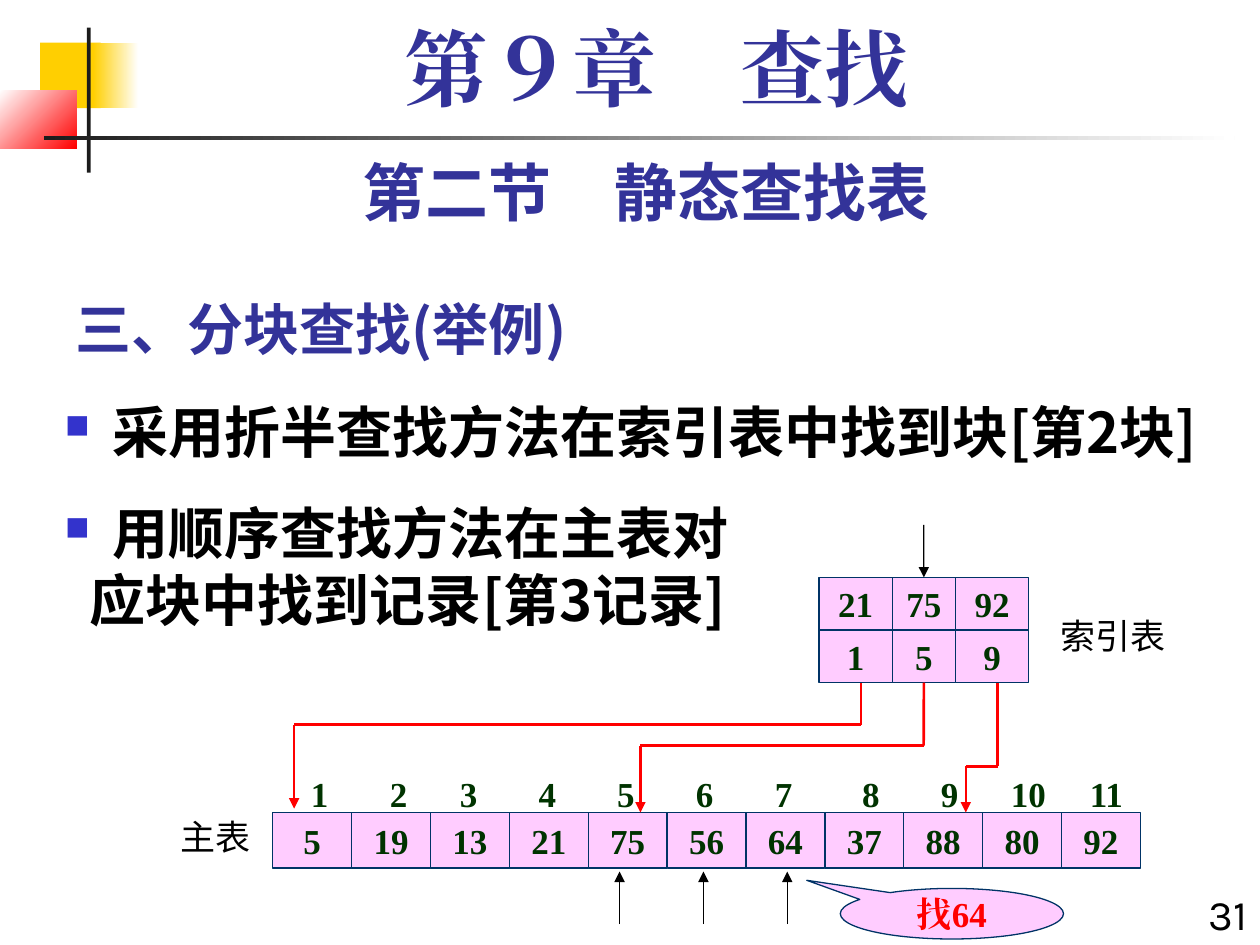
from dataclasses import dataclass
from typing import Optional

from lxml.etree import SubElement
from pptx import Presentation
from pptx.dml.color import RGBColor
from pptx.enum.shapes import MSO_CONNECTOR as Connector, MSO_SHAPE as Preset
from pptx.enum.text import MSO_ANCHOR as Anchor, PP_ALIGN as Align
from pptx.oxml.ns import qn
from pptx.util import Cm, Pt

GOLD = RGBColor(0xFF, 0xCF, 0x01)
RED = RGBColor(0xFF, 0x00, 0x00)
WHITE = RGBColor(0xFF, 0xFF, 0xFF)
BLACK = RGBColor(0x00, 0x00, 0x00)
CHARCOAL = RGBColor(0x1C, 0x1C, 0x1C)
INDIGO = RGBColor(0x33, 0x33, 0x99)
PINK = RGBColor(0xFF, 0xCC, 0xFF)
NAVY = RGBColor(0x00, 0x33, 0x66)
GREEN = RGBColor(0x00, 0x33, 0x00)

SANS, CJK, SERIF = "Karla", "Noto Sans CJK SC", "Times New Roman"
HEADING = dict(name=CJK, size=Pt(32), bold=True)
CELL = dict(name=SERIF, size=Pt(20), bold=True)
LABEL = dict(name=SANS, size=Pt(20))


@dataclass
class Box:
    left: float
    top: float
    width: float
    height: float

    def lengths(self) -> list:
        return [Cm(value) for value in (self.left, self.top, self.width, self.height)]


@dataclass
class Ornament:
    box: Box
    start: RGBColor
    end: Optional[RGBColor] = None
    angle: float = 0


@dataclass
class Label:
    text: str
    box: Box
    font: dict
    color: RGBColor
    align: Align = Align.LEFT
    anchor: Anchor = Anchor.TOP
    side_inset: float = 0.25
    line_spacing: Optional[float] = None


@dataclass
class Pointer:
    """An index column's link: down, across, then down to the main table."""
    start_x: float
    turn_y: float
    end_x: float
    end_y: float
    cell: Optional[object] = None


def write(paragraph, text: str, font: dict, color: RGBColor) -> None:
    run = paragraph.add_run()
    run.text = text
    for name, value in font.items():
        setattr(run.font, name, value)
    run.font.color.rgb = color
    SubElement(run.font._element, qn("a:ea"), typeface=font["name"])


def add_text_box(slide, box: Box):
    text_box = slide.shapes.add_textbox(*box.lengths())
    text_box.text_frame.word_wrap = True
    return text_box.text_frame


def add_label(slide, label: Label):
    frame = add_text_box(slide, label.box)
    frame.vertical_anchor = label.anchor
    frame.margin_left = frame.margin_right = Cm(label.side_inset)
    paragraph = frame.paragraphs[0]
    paragraph.alignment = label.align
    if label.line_spacing:
        paragraph.line_spacing = label.line_spacing
    write(paragraph, label.text, label.font, label.color)
    return paragraph


def add_ornament(slide, ornament: Ornament) -> None:
    shape = slide.shapes.add_shape(Preset.RECTANGLE, *ornament.box.lengths())
    shape.shadow.inherit = False
    shape.line.fill.background()
    if ornament.end is None:
        shape.fill.solid()
        shape.fill.fore_color.rgb = ornament.start
        return
    shape.fill.gradient()
    shape.fill.gradient_angle = ornament.angle
    stops = zip(shape.fill.gradient_stops, (0, 1), (ornament.start, ornament.end))
    for stop, position, color in stops:
        stop.position = position
        stop.color.rgb = color


def add_pink_shape(slide, preset: Preset, box: Box, text: str, color: RGBColor):
    shape = slide.shapes.add_shape(preset, *box.lengths())
    shape.shadow.inherit = False
    shape.fill.solid()
    shape.fill.fore_color.rgb = PINK
    shape.line.color.rgb = NAVY
    shape.line.width = Pt(0.75)
    frame = shape.text_frame
    frame.word_wrap = False
    frame.vertical_anchor = Anchor.MIDDLE
    frame.paragraphs[0].alignment = Align.CENTER
    write(frame.paragraphs[0], text, CELL, color)
    return shape


def add_line(slide, start: tuple, end: tuple, color: RGBColor, width: float, arrow: bool = False):
    points = [Cm(value) for value in (*start, *end)]
    line = slide.shapes.add_connector(Connector.STRAIGHT, *points)
    line.line.color.rgb = color
    line.line.width = Pt(width)
    if arrow:
        SubElement(line.line._get_or_add_ln(), qn("a:tailEnd"), type="triangle")
    SubElement(line._element.spPr, qn("a:effectLst"))
    return line


def add_pointer(slide, pointer: Pointer, top: float) -> None:
    corner = (pointer.start_x, pointer.turn_y)
    turn = (pointer.end_x, pointer.turn_y)
    add_line(slide, turn, (pointer.end_x, pointer.end_y), RED, 1.5, arrow=True)
    add_line(slide, corner, turn, RED, 1.5)
    stem = add_line(slide, corner, (pointer.start_x, top), RED, 1.5)
    if pointer.cell is not None:
        stem.end_connect(pointer.cell, 2)


def add_steps(slide) -> None:
    frame = add_text_box(slide, Box(1.06, 7.9, 24.34, 11))
    steps = [("采用折半查找方法在索引表中找到块[第2块]", True),
             ("用顺序查找方法在主表对", True),
             ("应块中找到记录[第3记录]", False)]
    for index, (text, bulleted) in enumerate(steps):
        paragraph = frame.paragraphs[0] if index == 0 else frame.add_paragraph()
        properties = paragraph._p.get_or_add_pPr()
        properties.set("marL", str(Cm(0.95 if bulleted else 0.5)))
        properties.set("indent", str(Cm(-0.95 if bulleted else 0)))
        if bulleted:
            bullet_color = SubElement(properties, qn("a:buClr"))
            SubElement(bullet_color, qn("a:srgbClr"), val="3333CC")
            SubElement(properties, qn("a:buSzPct"), val="60000")
            SubElement(properties, qn("a:buChar"), char="■")
        paragraph.line_spacing = Pt(38)
        if bulleted and index:
            paragraph.space_before = Pt(20)
        write(paragraph, text, HEADING, BLACK)


def main() -> None:
    presentation = Presentation()
    presentation.slide_width, presentation.slide_height = Cm(25.4), Cm(19.05)
    slide = presentation.slides.add_slide(presentation.slide_layouts[6])

    # Corner ornament and rule
    for ornament in (
        Ornament(Box(0.81, 0.86, 1.22, 1.32), GOLD),
        Ornament(Box(1.88, 0.86, 0.91, 1.32), GOLD, WHITE),
        Ornament(Box(0, 1.83, 1.55, 1.17), WHITE, RED, 315),
        Ornament(Box(1.75, 0.56, 0.08, 2.92), CHARCOAL),
        Ornament(Box(0.89, 2.74, 24, 0.08), CHARCOAL, WHITE),
    ):
        add_ornament(slide, ornament)

    # Headings, page number and table names
    for label in (
        Label("三、分块查找(举例)", Box(1.27, 5.51, 15.88, 1.9), HEADING, INDIGO, anchor=Anchor.BOTTOM),
        Label("31", Box(23.7, 17.78, 1.7, 1.5), dict(name=SANS, size=Pt(24)), BLACK, Align.RIGHT),
        Label("第二节　静态查找表", Box(1.27, 2.97, 23.5, 1.78),
              dict(name=SANS, size=Pt(36), bold=True), INDIGO, Align.CENTER),
        Label("第９章　查找", Box(1.7, 0.43, 23.06, 2.11),
              dict(name=SERIF, size=Pt(48), bold=True), INDIGO, Align.CENTER, line_spacing=0.9),
        Label("主表", Box(3.38, 16.31, 2.11, 1.12), LABEL, BLACK),
        Label("索引表", Box(21.16, 12.27, 2.54, 1.12), LABEL, BLACK, Align.CENTER, side_inset=0),
    ):
        add_label(slide, label)
    add_steps(slide)

    # Main table with its position numbers
    positions = "\t".join(str(number) for number in range(1, 12))
    paragraph = add_label(slide, Label(positions, Box(6.02, 15.44, 17.78, 1.12), CELL, GREEN))
    tab_list = SubElement(paragraph._p.get_or_add_pPr(), qn("a:tabLst"))
    for stop in (1.59, 3, 4.59, 6.17, 7.76, 9.35, 11.11, 12.7, 14.11, 15.7):
        SubElement(tab_list, qn("a:tab"), pos=str(Cm(stop)), algn="l")
    for index, key in enumerate((5, 19, 13, 21, 75, 56, 64, 37, 88, 80, 92)):
        box = Box(5.5 + 1.59 * index, 16.38, 1.59, 1.12)
        add_pink_shape(slide, Preset.RECTANGLE, box, str(key), GREEN)

    # Search key callout
    callout = add_pink_shape(slide, Preset.OVAL_CALLOUT, Box(16.94, 17.91, 4.5, 1.02), "找64", RED)
    callout.adjustments[0], callout.adjustments[1] = -0.65, -0.66

    # Index table: largest key above, block start below
    index_cells = []
    for left, width, column in ((16.51, 1.48, (21, 1)), (17.99, 1.27, (75, 5)), (19.26, 1.48, (92, 9))):
        for row, value in enumerate(column):
            box = Box(left, 11.64 + 1.06 * row, width, 1.06)
            index_cells.append(add_pink_shape(slide, Preset.RECTANGLE, box, str(value), GREEN))

    # Links from the index table to the blocks
    for pointer in (
        Pointer(17.36, 14.61, 5.93, 16.3),
        Pointer(18.62, 15.03, 12.91, 16.38, index_cells[3]),
        Pointer(20.11, 15.45, 19.47, 16.38),
    ):
        add_pointer(slide, pointer, 13.76)

    # Search step arrows
    arrow = add_line(slide, (18.62, 10.58), (18.62, 11.64), BLACK, 0.75, arrow=True)
    arrow.end_connect(index_cells[2], 0)
    for step in range(3):
        x = 12.49 + 1.69 * step
        add_line(slide, (x, 18.63), (x, 17.57), BLACK, 0.75, arrow=True)

    presentation.save("out.pptx")


if __name__ == "__main__":
    main()
